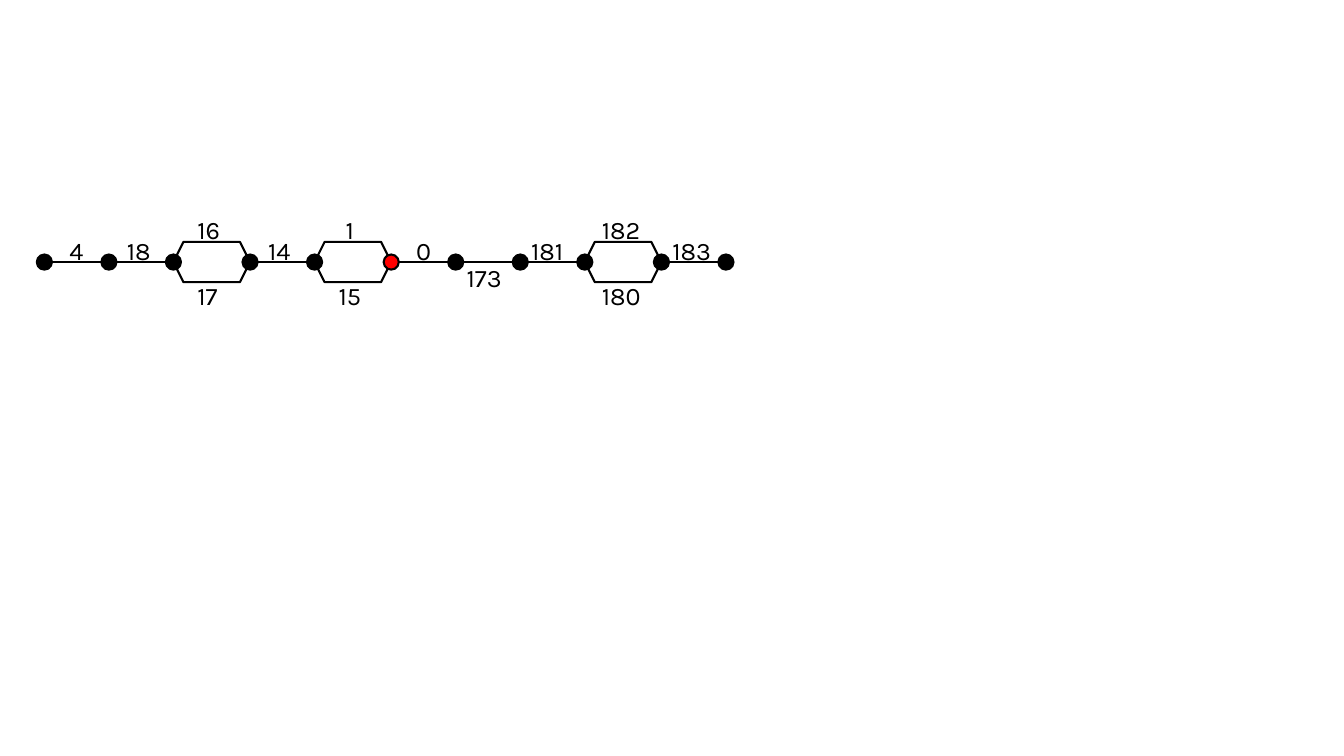
from dataclasses import dataclass
from itertools import accumulate

import pptx
import pptx.dml.color
import pptx.enum.shapes
import pptx.enum.text
import pptx.oxml
import pptx.oxml.ns
import pptx.shapes.autoshape
import pptx.shapes.shapetree
import pptx.util
from pptx.util import Inches


@dataclass(frozen=True)
class Theme:
    ink: pptx.dml.color.RGBColor = pptx.dml.color.RGBColor(0, 0, 0)
    highlight: pptx.dml.color.RGBColor = pptx.dml.color.RGBColor(255, 0, 0)
    font_name: str = "Karla"
    label_size: pptx.util.Pt = pptx.util.Pt(18)
    line_width: pptx.util.Pt = pptx.util.Pt(1.5)


@dataclass(frozen=True)
class Label:
    text: str
    top: float


@dataclass(frozen=True)
class Edge:
    labels: tuple[Label, ...]
    is_loop: bool = False

    @property
    def length(self) -> float:
        return 0.76 if self.is_loop else 0.64


THEME = Theme()
AXIS_Y = 2.6
START_X = 0.44
NODE_SIZE = 0.15
LOOP_HEIGHT = 0.4
LABEL_HEIGHT = 0.4
HIGHLIGHTED_NODE = 5


def line_edge(text: str, top: float = 2.29) -> Edge:
    return Edge((Label(text, top),))


def loop_edge(upper: str, lower: str) -> Edge:
    return Edge((Label(upper, 2.08), Label(lower, 2.73)), is_loop=True)


EDGES = (
    line_edge("4"),
    line_edge("18"),
    loop_edge("16", "17"),
    line_edge("14"),
    loop_edge("1", "15"),
    line_edge("0"),
    line_edge("173", top=2.55),
    line_edge("181"),
    loop_edge("182", "180"),
    line_edge("183"),
)

Shapes = pptx.shapes.shapetree.GroupShapes


def add_outlined_shape(
    shapes: Shapes,
    kind: pptx.enum.shapes.MSO_SHAPE,
    left: float,
    width: float,
    height: float,
) -> pptx.shapes.autoshape.Shape:
    shape = shapes.add_shape(
        kind, Inches(left), Inches(AXIS_Y - height / 2), Inches(width), Inches(height)
    )
    shape.shadow.inherit = False
    shape.fill.background()
    shape.line.color.rgb = THEME.ink
    shape.line.width = THEME.line_width
    return shape


def draw_node(shapes: Shapes, center_x: float, color: pptx.dml.color.RGBColor) -> None:
    node = add_outlined_shape(
        shapes, pptx.enum.shapes.MSO_SHAPE.OVAL, center_x - NODE_SIZE / 2, NODE_SIZE, NODE_SIZE
    )
    node.fill.solid()
    node.fill.fore_color.rgb = color


def draw_line(shapes: Shapes, start_x: float, end_x: float) -> None:
    connector = shapes.add_connector(
        pptx.enum.shapes.MSO_CONNECTOR.STRAIGHT,
        Inches(start_x + NODE_SIZE / 2),
        Inches(AXIS_Y),
        Inches(end_x - NODE_SIZE / 2),
        Inches(AXIS_Y),
    )
    connector.line.color.rgb = THEME.ink
    connector.line.width = THEME.line_width
    properties = connector.element.find(pptx.oxml.ns.qn("p:spPr"))
    properties.append(
        pptx.oxml.parse_xml(f"<a:effectLst {pptx.oxml.ns.nsdecls('a')}/>")
    )


def draw_label(shapes: Shapes, label: Label, center_x: float) -> None:
    width = 0.2 + 0.14 * len(label.text)
    box = shapes.add_textbox(
        Inches(center_x - width / 2), Inches(label.top), Inches(width), Inches(LABEL_HEIGHT)
    )
    frame = box.text_frame
    frame.word_wrap = False
    frame.auto_size = pptx.enum.text.MSO_AUTO_SIZE.SHAPE_TO_FIT_TEXT
    run = frame.paragraphs[0].add_run()
    run.text = label.text
    run.font.name = THEME.font_name
    run.font.size = THEME.label_size
    run.font.color.rgb = THEME.ink


def draw_edge(shapes: Shapes, edge: Edge, start_x: float) -> None:
    if edge.is_loop:
        add_outlined_shape(
            shapes, pptx.enum.shapes.MSO_SHAPE.HEXAGON, start_x, edge.length, LOOP_HEIGHT
        )
    else:
        draw_line(shapes, start_x, start_x + edge.length)
    for label in edge.labels:
        draw_label(shapes, label, start_x + edge.length / 2)


def main() -> None:
    presentation = pptx.Presentation()
    presentation.slide_width = Inches(13.33)
    presentation.slide_height = Inches(7.5)
    slide = presentation.slides.add_slide(presentation.slide_layouts[6])
    shapes = slide.shapes.add_group_shape().shapes

    node_centers = list(accumulate((edge.length for edge in EDGES), initial=START_X))
    for edge, start_x in zip(EDGES, node_centers):
        draw_edge(shapes, edge, start_x)
    for index, center_x in enumerate(node_centers):
        color = THEME.highlight if index == HIGHLIGHTED_NODE else THEME.ink
        draw_node(shapes, center_x, color)

    presentation.save("out.pptx")


if __name__ == "__main__":
    main()
